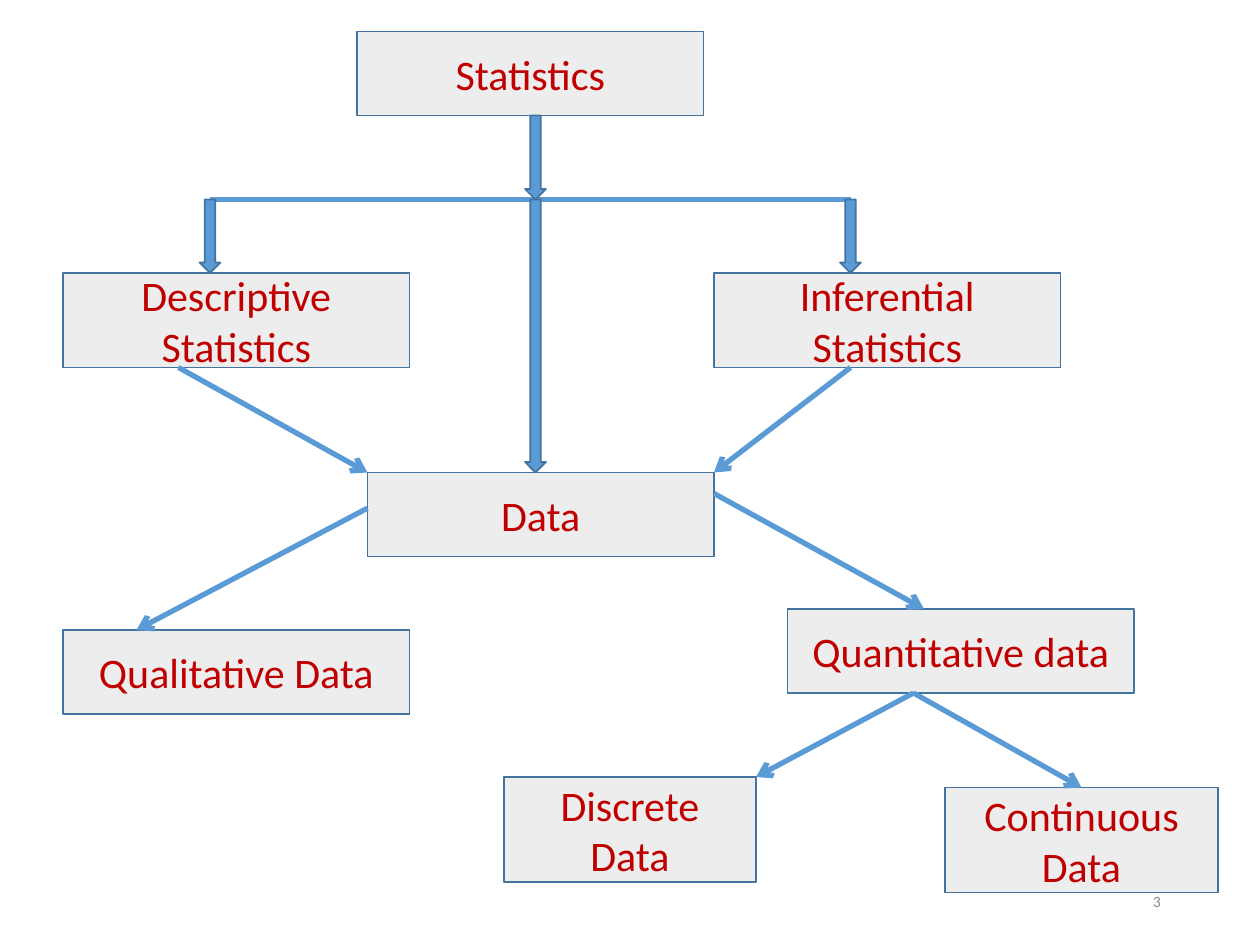
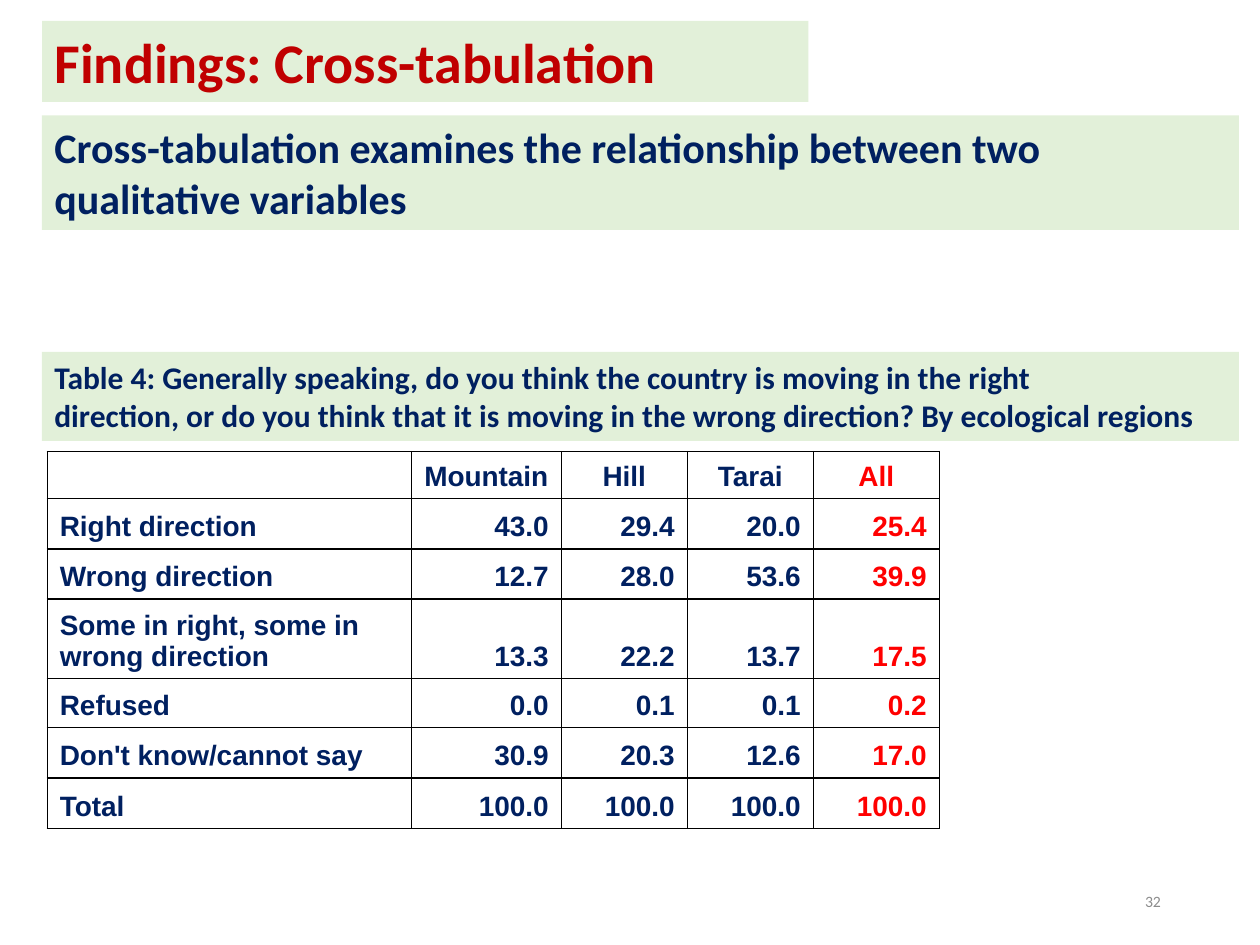
from dataclasses import dataclass
from typing import NamedTuple

from lxml import etree
from pptx import Presentation
from pptx.dml.color import RGBColor
from pptx.enum.shapes import MSO_CONNECTOR, MSO_SHAPE
from pptx.enum.text import MSO_ANCHOR, MSO_AUTO_SIZE, PP_ALIGN
from pptx.oxml.ns import qn
from pptx.util import Inches, Pt

RECTANGLE, DOWN_ARROW = MSO_SHAPE.RECTANGLE, MSO_SHAPE.DOWN_ARROW
STRAIGHT = MSO_CONNECTOR.STRAIGHT
LEFT, CENTER, RIGHT = PP_ALIGN.LEFT, PP_ALIGN.CENTER, PP_ALIGN.RIGHT
TOP, MIDDLE, BOTTOM = MSO_ANCHOR.TOP, MSO_ANCHOR.MIDDLE, MSO_ANCHOR.BOTTOM
NO_AUTOFIT = MSO_AUTO_SIZE.NONE

# The slide is a grid of 120 columns by 90 rows, 12 to the inch
CELLS_PER_INCH = 12
SLIDE_COLUMNS, SLIDE_ROWS = 120, 90
TITLE_ONLY_LAYOUT, BLANK_LAYOUT = 5, 6


@dataclass(frozen=True)
class Theme:
    body_font: str = "Calibri"
    table_font: str = "Arial"
    red: str = "C00000"
    navy: str = "002060"
    bright_red: str = "FF0000"
    grey: str = "8C8C8C"
    black: str = "000000"
    box_fill: str = "EDEDED"
    band_fill: str = "E2F0D9"
    arrow: str = "5B9BD5"
    outline: str = "43739E"
    title_size: int = 32
    large_size: int = 24
    caption_size: int = 18
    table_size: int = 16
    number_size: int = 9
    outline_width: int = 1
    arrow_width: int = 3


THEME = Theme()


class Area(NamedTuple):
    column: float
    row: float
    columns: float
    rows: float


class Node(NamedTuple):
    text: str
    area: Area


class Link(NamedTuple):
    start: tuple[float, float]
    end: tuple[float, float]
    arrowhead: bool = True
    top_of: str = ""


# Diagram contents
NODES = [
    Node("Statistics", Area(34, 3, 33, 8)),
    Node("Inferential Statistics", Area(68, 26, 33, 9)),
    Node("Descriptive\vStatistics", Area(6, 26, 33, 9)),
    Node("Data", Area(35, 45, 33, 8)),
    Node("Qualitative Data", Area(6, 60, 33, 8)),
    Node("Quantitative data", Area(75, 58, 33, 8)),
    Node("Discrete\vData", Area(48, 74, 24, 10)),
    Node("Continuous Data", Area(90, 75, 26, 10)),
]
LINKS = [
    Link((20, 19), (81, 19), arrowhead=False),
    Link((68, 47), (88, 58)),
    Link((35, 48.4), (13, 60)),
    Link((17, 35), (35, 45)),
    Link((81, 35), (68, 45)),
    Link((87, 66), (103, 75), top_of="Continuous Data"),
    Link((87, 66), (72, 74)),
]
BLOCK_ARROWS = [Area(80, 19, 2, 7), Area(19, 19, 2, 7), Area(50, 11, 2, 8), Area(50, 19, 2, 26)]

# Table contents
REGIONS = ["", "Mountain", "Hill", "Tarai", "All"]
ANSWERS = [
    ("Right direction", 43.0, 29.4, 20.0, 25.4),
    ("Wrong direction", 12.7, 28.0, 53.6, 39.9),
    ("Some in right, some in wrong direction", 13.3, 22.2, 13.7, 17.5),
    ("Refused", 0.0, 0.1, 0.1, 0.2),
    ("Don't know/cannot say", 30.9, 20.3, 12.6, 17.0),
    ("Total", 100.0, 100.0, 100.0, 100.0),
]
COLUMN_WIDTHS = [2.89, 1.19, 1, 1, 1]
ROW_HEIGHTS = [0.37, 0.4, 0.4, 0.63, 0.39, 0.4, 0.4]
TABLE_AREA = Area(4.5, 43, 85, 35.8)

STATEMENT = "Cross-tabulation examines the relationship between two qualitative variables"
CAPTION = (
    "Table 4: Generally speaking, do you think the country is moving in the right\n"
    "direction, or do you think that it is moving in the wrong direction? By ecological regions"
)


def grid(cells: float) -> int:
    return Inches(cells / CELLS_PER_INCH)


def place(area: Area) -> tuple[int, ...]:
    return tuple(grid(cells) for cells in area)


def color(value: str) -> RGBColor:
    return RGBColor.from_string(value)


def write(frame, text: str, *, size: int, ink: str, font: str = THEME.body_font,
          bold: bool = False, align=LEFT) -> None:
    """Fill a text frame, one paragraph a line, in a single format."""
    frame.text = text
    for para in frame.paragraphs:
        para.alignment = align
        for span in para.runs:
            span.font.name = font
            span.font.size = Pt(size)
            span.font.bold = bold
            span.font.color.rgb = color(ink)


def set_frame(frame, anchor) -> None:
    frame.word_wrap = True
    frame.auto_size = NO_AUTOFIT
    frame.vertical_anchor = anchor


def add_page_number(page, number: int) -> None:
    box = page.shapes.add_textbox(*place(Area(84.75, 83.4, 27, 4.8)))
    set_frame(box.text_frame, MIDDLE)
    write(box.text_frame, str(number), size=THEME.number_size, ink=THEME.grey, align=RIGHT)


def add_outlined(page, preset, area: Area, fill: str):
    shape = page.shapes.add_shape(preset, *place(area))
    shape.shadow.inherit = False
    shape.fill.solid()
    shape.fill.fore_color.rgb = color(fill)
    shape.line.color.rgb = color(THEME.outline)
    shape.line.width = Pt(THEME.outline_width)
    return shape


def add_node(page, node: Node):
    box = add_outlined(page, RECTANGLE, node.area, THEME.box_fill)
    set_frame(box.text_frame, MIDDLE)
    write(box.text_frame, node.text, size=THEME.large_size, ink=THEME.red, align=CENTER)
    return box


def add_link(page, link: Link, boxes: dict) -> None:
    points = [grid(cells) for cells in (*link.start, *link.end)]
    connector = page.shapes.add_connector(STRAIGHT, *points)
    connector.line.color.rgb = color(THEME.arrow)
    connector.line.width = Pt(THEME.arrow_width)
    if link.arrowhead:
        line = connector.line._get_or_add_ln()
        etree.SubElement(line, qn("a:tailEnd"), type="arrow")
    etree.SubElement(connector._element.spPr, qn("a:effectLst"))
    if link.top_of:
        connector.end_connect(boxes[link.top_of], 0)


def format_band(box, text: str, *, size: int, ink: str) -> None:
    box.fill.solid()
    box.fill.fore_color.rgb = color(THEME.band_fill)
    set_frame(box.text_frame, TOP)
    write(box.text_frame, text, size=size, ink=ink, bold=True)


def add_band(page, area: Area, text: str, size: int) -> None:
    box = page.shapes.add_textbox(*place(area))
    format_band(box, text, size=size, ink=THEME.navy)


def set_borders(cell) -> None:
    properties = cell._tc.get_or_add_tcPr()
    for position, side in enumerate(("lnL", "lnR", "lnT", "lnB")):
        line = etree.Element(qn(f"a:{side}"), w=str(Pt(1)))
        fill = etree.SubElement(line, qn("a:solidFill"))
        etree.SubElement(fill, qn("a:srgbClr"), val=THEME.black)
        properties.insert(position, line)


def add_answer_table(page) -> None:
    rows = [REGIONS] + [[label, *(f"{share:.1f}" for share in shares)]
                        for label, *shares in ANSWERS]
    table = page.shapes.add_table(len(rows), len(REGIONS), *place(TABLE_AREA)).table
    table.horz_banding = False
    for column, width in zip(table.columns, COLUMN_WIDTHS):
        column.width = Inches(width)
    for row, height in zip(table.rows, ROW_HEIGHTS):
        row.height = Inches(height)
    last = len(REGIONS) - 1
    for row_index, values in enumerate(rows):
        for column_index, value in enumerate(values):
            cell = table.cell(row_index, column_index)
            cell.fill.background()
            set_borders(cell)
            cell.vertical_anchor = BOTTOM
            if not value:
                cell.text_frame.paragraphs[0].font.size = Pt(THEME.table_size)
                etree.SubElement(cell.text_frame.paragraphs[0]._p, qn("a:endParaRPr"),
                                 sz=str(THEME.table_size * 100))
                continue
            align = CENTER if row_index == 0 else RIGHT if column_index else LEFT
            ink = THEME.bright_red if column_index == last else THEME.navy
            write(cell.text_frame, value, size=THEME.table_size, ink=ink,
                  font=THEME.table_font, bold=True, align=align)


def build_statistics_diagram(deck) -> None:
    page = deck.slides.add_slide(deck.slide_layouts[BLANK_LAYOUT])
    add_page_number(page, 3)
    boxes = {node.text: add_node(page, node) for node in NODES}
    for link in LINKS:
        add_link(page, link, boxes)
    for area in BLOCK_ARROWS:
        add_outlined(page, DOWN_ARROW, area, THEME.arrow)


def build_cross_tabulation(deck) -> None:
    page = deck.slides.add_slide(deck.slide_layouts[TITLE_ONLY_LAYOUT])
    add_page_number(page, 32)
    title = page.shapes.title
    title.left, title.top, title.width, title.height = place(Area(4, 2, 73, 7.7))
    format_band(title, "Findings: Cross-tabulation", size=THEME.title_size, ink=THEME.red)
    add_band(page, Area(4, 11, 114, 10.9), STATEMENT, THEME.large_size)
    add_answer_table(page)
    add_band(page, Area(4, 33.5, 114, 8.5), CAPTION, THEME.caption_size)


def main() -> None:
    deck = Presentation()
    deck.slide_width, deck.slide_height = grid(SLIDE_COLUMNS), grid(SLIDE_ROWS)
    build_statistics_diagram(deck)
    build_cross_tabulation(deck)
    deck.save("out.pptx")


if __name__ == "__main__":
    main()
